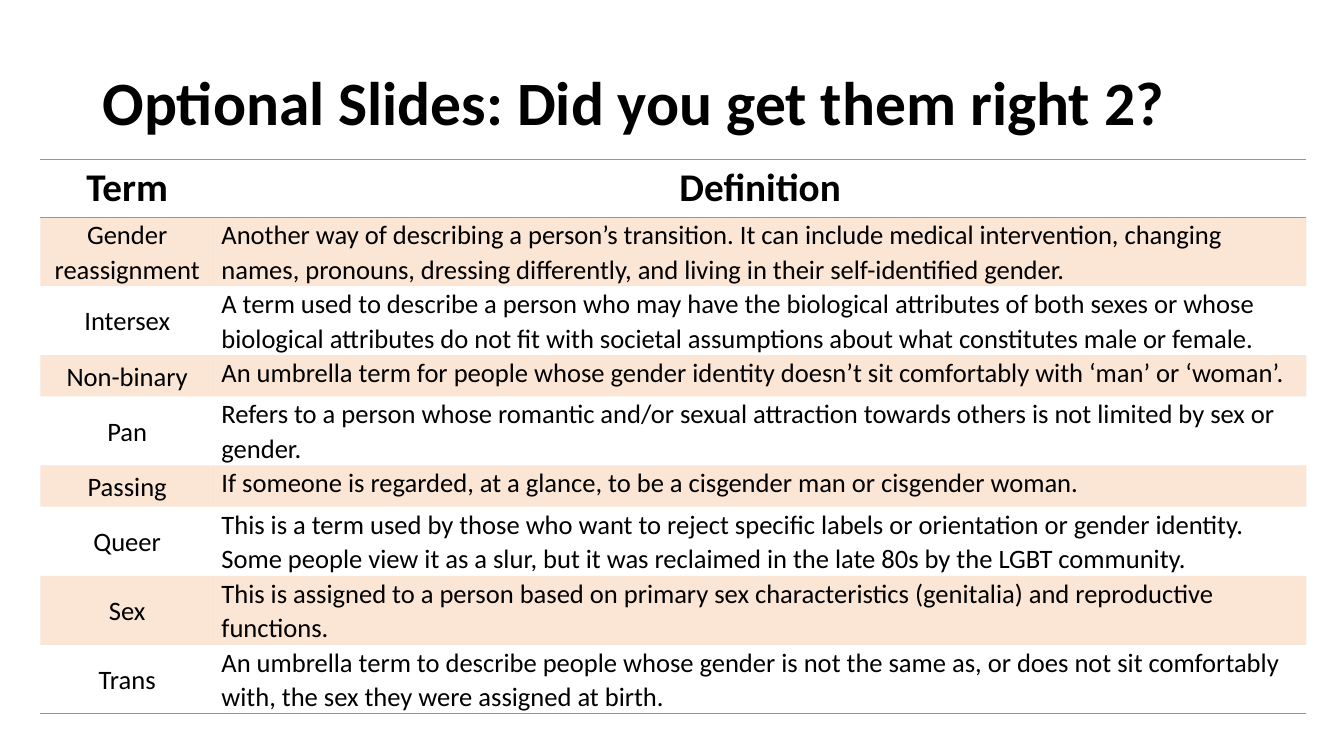
from dataclasses import dataclass

import pptx
import pptx.dml.color
import pptx.enum.text
import pptx.oxml
import pptx.oxml.ns
import pptx.util
from pptx.util import Cm, Pt


@dataclass(frozen=True)
class Theme:
    font: str = "Calibri"
    text: str = "000000"
    accent: str = "ED7D31"
    band_opacity: int = 20
    title_size: int = 44
    header_size: int = 28
    body_size: int = 19
    rule_width: int = 1


THEME = Theme()
ALIGN = pptx.enum.text.PP_ALIGN
ANCHOR = pptx.enum.text.MSO_ANCHOR
PLAIN_TABLE_STYLE = "{2D5ABB26-0587-4C30-8999-92F81FD0307C}"

HEADERS = ("Term", "Definition")
GLOSSARY = (
    ("Gender reassignment",
     "Another way of describing a person’s transition. It can include medical intervention, "
     "changing names, pronouns, dressing differently, and living in their self-identified gender."),
    ("Intersex",
     "A term used to describe a person who may have the biological attributes of both sexes or "
     "whose biological attributes do not fit with societal assumptions about what constitutes "
     "male or female."),
    ("Non-binary",
     "An umbrella term for people whose gender identity doesn’t sit comfortably with "
     "‘man’ or ‘woman’."),
    ("Pan",
     "Refers to a person whose romantic and/or sexual attraction towards others is not limited "
     "by sex or gender."),
    ("Passing",
     "If someone is regarded, at a glance, to be a cisgender man or cisgender woman."),
    ("Queer",
     "This is a term used by those who want to reject specific labels or orientation or gender "
     "identity. Some people view it as a slur, but it was reclaimed in the late 80s by the "
     "LGBT community."),
    ("Sex",
     "This is assigned to a person based on primary sex characteristics (genitalia) and "
     "reproductive functions."),
    ("Trans",
     "An umbrella term to describe people whose gender is not the same as, or does not sit "
     "comfortably with, the sex they were assigned at birth."),
)


def write(frame, text, size, bold, align):
    frame.text = text
    para = frame.paragraphs[0]
    para.alignment = align
    para.font.name = THEME.font
    para.font.size = Pt(size)
    para.font.bold = bold
    para.font.color.rgb = pptx.dml.color.RGBColor.from_string(THEME.text)
    return para


def add_title(page, text):
    title = page.shapes.title
    title.left, title.top, title.width, title.height = Cm(2.33), Cm(0.81), Cm(29.21), Cm(3.68)
    title.text_frame.vertical_anchor = ANCHOR.MIDDLE
    para = write(title.text_frame, text, THEME.title_size, True, ALIGN.LEFT)
    para.line_spacing = 0.9


def rule_cell(cell, sides):
    properties = cell._tc.get_or_add_tcPr()
    for side in sides:
        properties.append(pptx.oxml.parse_xml(
            f'<a:ln{side} {pptx.oxml.ns.nsdecls("a")} w="{Pt(THEME.rule_width)}">'
            f'<a:solidFill><a:srgbClr val="{THEME.accent}"/></a:solidFill></a:ln{side}>'))


def fill_cell(cell, banded):
    if not banded:
        cell.fill.background()
        return
    cell.fill.solid()
    cell.fill.fore_color.rgb = pptx.dml.color.RGBColor.from_string(THEME.accent)
    color = cell._tc.tcPr.find(".//" + pptx.oxml.ns.qn("a:srgbClr"))
    color.append(pptx.oxml.parse_xml(
        f'<a:alpha {pptx.oxml.ns.nsdecls("a")} val="{THEME.band_opacity * 1000}"/>'))


def write_header(cell, text):
    write(cell.text_frame, text, THEME.header_size, True, ALIGN.CENTER)
    rule_cell(cell, "TB")
    fill_cell(cell, False)


def write_entry(cell, text, is_term, banded, is_last):
    cell.margin_left = cell.margin_right = Cm(0.19)
    cell.margin_top = cell.margin_bottom = 0
    cell.vertical_anchor = ANCHOR.MIDDLE if is_term else ANCHOR.TOP
    align = ALIGN.CENTER if is_term else ALIGN.LEFT
    para = write(cell.text_frame, text, THEME.body_size, False, align)
    para.line_spacing = 1.07
    para.space_before = para.space_after = Pt(6)
    rule_cell(cell, "B" if is_last else "")
    fill_cell(cell, banded)


def add_glossary(page, headers, entries):
    frame = page.shapes.add_table(
        len(entries) + 1, len(headers), Cm(1.02), Cm(4.01), Cm(31.9), Cm(13.59))
    table = frame.table
    table._tbl.tblPr.find(pptx.oxml.ns.qn("a:tableStyleId")).text = PLAIN_TABLE_STYLE
    table.first_row = table.horz_banding = False
    for column, width in zip(table.columns, (4.37, 27.53)):
        column.width = Cm(width)
    for row in table.rows:
        row.height = Cm(1.04)
    for column, header in enumerate(headers):
        write_header(table.cell(0, column), header)
    for row, entry in enumerate(entries, start=1):
        for column, text in enumerate(entry):
            write_entry(table.cell(row, column), text, column == 0,
                        row % 2 == 1, row == len(entries))


def main():
    deck = pptx.Presentation()
    deck.slide_width, deck.slide_height = Cm(33.87), Cm(19.05)
    page = deck.slides.add_slide(deck.slide_layouts[5])
    add_title(page, "Optional Slides: Did you get them right 2?")
    add_glossary(page, HEADERS, GLOSSARY)
    deck.save("out.pptx")


if __name__ == "__main__":
    main()
